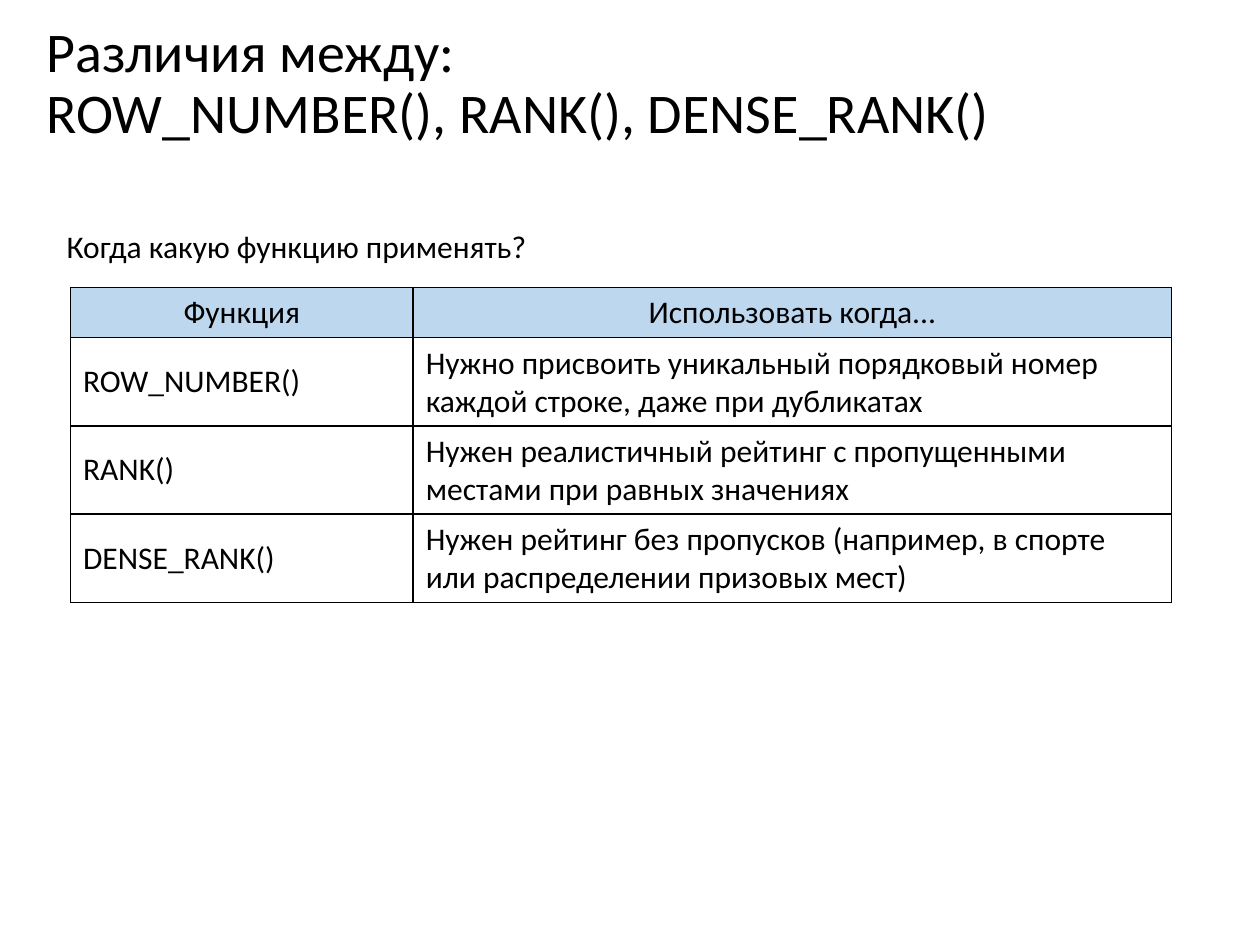
from lxml import etree
from pptx import Presentation, util as u
from pptx.dml.color import RGBColor
from pptx.enum import text
from pptx.oxml.ns import qn

TITLE = "Различия между:\vROW_NUMBER(), RANK(), DENSE_RANK()"
QUESTION = "Когда какую функцию применять?"
ROWS = [
    ("Функция", "Использовать когда..."),
    ("ROW_NUMBER()", "Нужно присвоить уникальный порядковый номер каждой строке, даже при дубликатах"),
    ("RANK()", "Нужен реалистичный рейтинг с пропущенными местами при равных значениях"),
    ("DENSE_RANK()", "Нужен рейтинг без пропусков (например, в спорте или распределении призовых мест)"),
]
COLORS = {"ink": "000000", "header": "BDD7EE"}
COLUMNS = (2.72, 6.02)
HEADER_HEIGHT, ROW_HEIGHT = 0.4, 0.7
HEIGHTS = [HEADER_HEIGHT] + [ROW_HEIGHT] * (len(ROWS) - 1)
TITLE_FRAME = {
    "margin_left": 0, "margin_right": 0, "margin_top": u.Inches(0.01), "margin_bottom": 0,
    "vertical_anchor": text.MSO_ANCHOR.MIDDLE, "word_wrap": True,
    "auto_size": text.MSO_AUTO_SIZE.NONE,
}
TABLE_FLAGS = {"first_row": False, "horz_banding": False}


def set_all(target, values):
    for name, value in values.items():
        setattr(target, name, value)


def write(frame, words, size, align=text.PP_ALIGN.LEFT, spacing=1.0):
    frame.text = words
    para = frame.paragraphs[0]
    set_all(para, {"alignment": align, "line_spacing": spacing})
    for span in para.runs:
        set_all(span.font, {"name": "Calibri", "size": u.Pt(size), "bold": False})
        span.font.color.rgb = RGBColor.from_string(COLORS["ink"])


def add_borders(cell):
    properties = cell._tc.get_or_add_tcPr()
    for index, side in enumerate(("a:lnL", "a:lnR", "a:lnT", "a:lnB")):
        line = etree.Element(qn(side), w=str(u.Pt(1)))
        fill = etree.SubElement(line, qn("a:solidFill"))
        etree.SubElement(fill, qn("a:srgbClr"), val=COLORS["ink"])
        properties.insert(index, line)


def add_title(page):
    title = page.shapes.title
    set_all(title, {"left": u.Inches(0.37), "top": u.Inches(0.18),
                    "width": u.Inches(8.77), "height": u.Inches(0.98)})
    set_all(title.text_frame, TITLE_FRAME)
    write(title.text_frame, TITLE, 32, spacing=0.9)


def add_question(page):
    box = page.shapes.add_textbox(*map(u.Inches, (0.43, 1.75, 3.89, 0.4)))
    set_all(box.text_frame, {"word_wrap": False, "auto_size": text.MSO_AUTO_SIZE.SHAPE_TO_FIT_TEXT})
    write(box.text_frame, QUESTION, 18)


def add_function_table(page):
    area = map(u.Inches, (0.56, 2.28, sum(COLUMNS), sum(HEIGHTS)))
    table = page.shapes.add_table(len(ROWS), len(COLUMNS), *area).table
    set_all(table, TABLE_FLAGS)
    for column, width in zip(table.columns, COLUMNS):
        column.width = u.Inches(width)
    for number, (row, height, words) in enumerate(zip(table.rows, HEIGHTS, ROWS)):
        row.height = u.Inches(height)
        for cell, phrase in zip(row.cells, words):
            cell.vertical_anchor = text.MSO_ANCHOR.MIDDLE
            if number == 0:
                cell.fill.solid()
                cell.fill.fore_color.rgb = RGBColor.from_string(COLORS["header"])
            else:
                cell.fill.background()
            align = text.PP_ALIGN.LEFT if number else text.PP_ALIGN.CENTER
            write(cell.text_frame, phrase, 18, align)
            add_borders(cell)


def main():
    deck = Presentation()
    set_all(deck, {"slide_width": u.Inches(10), "slide_height": u.Inches(7.5)})
    page = deck.slides.add_slide(deck.slide_layouts.get_by_name("Title Only"))
    add_title(page)
    add_question(page)
    add_function_table(page)
    deck.save("out.pptx")


if __name__ == "__main__":
    main()
